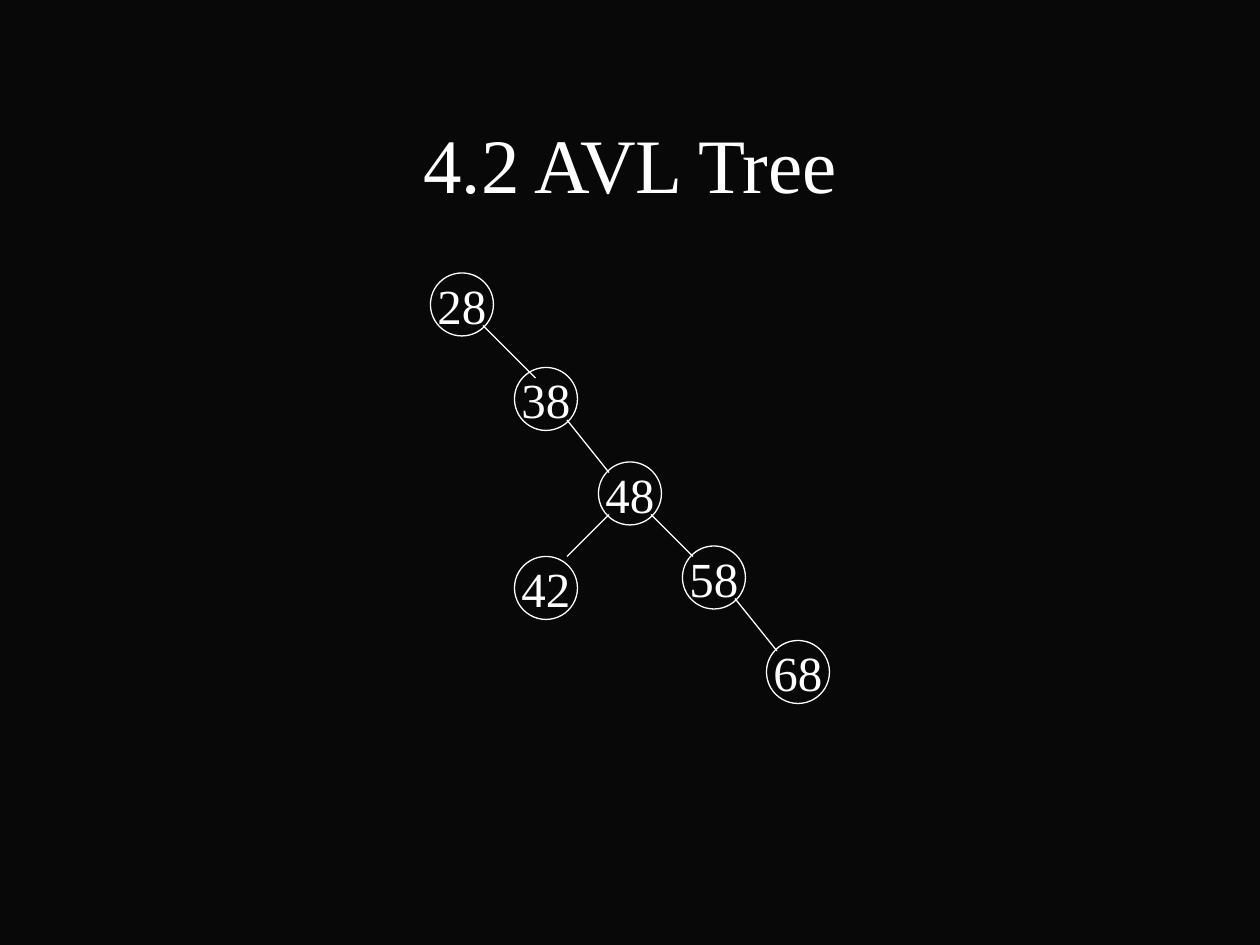
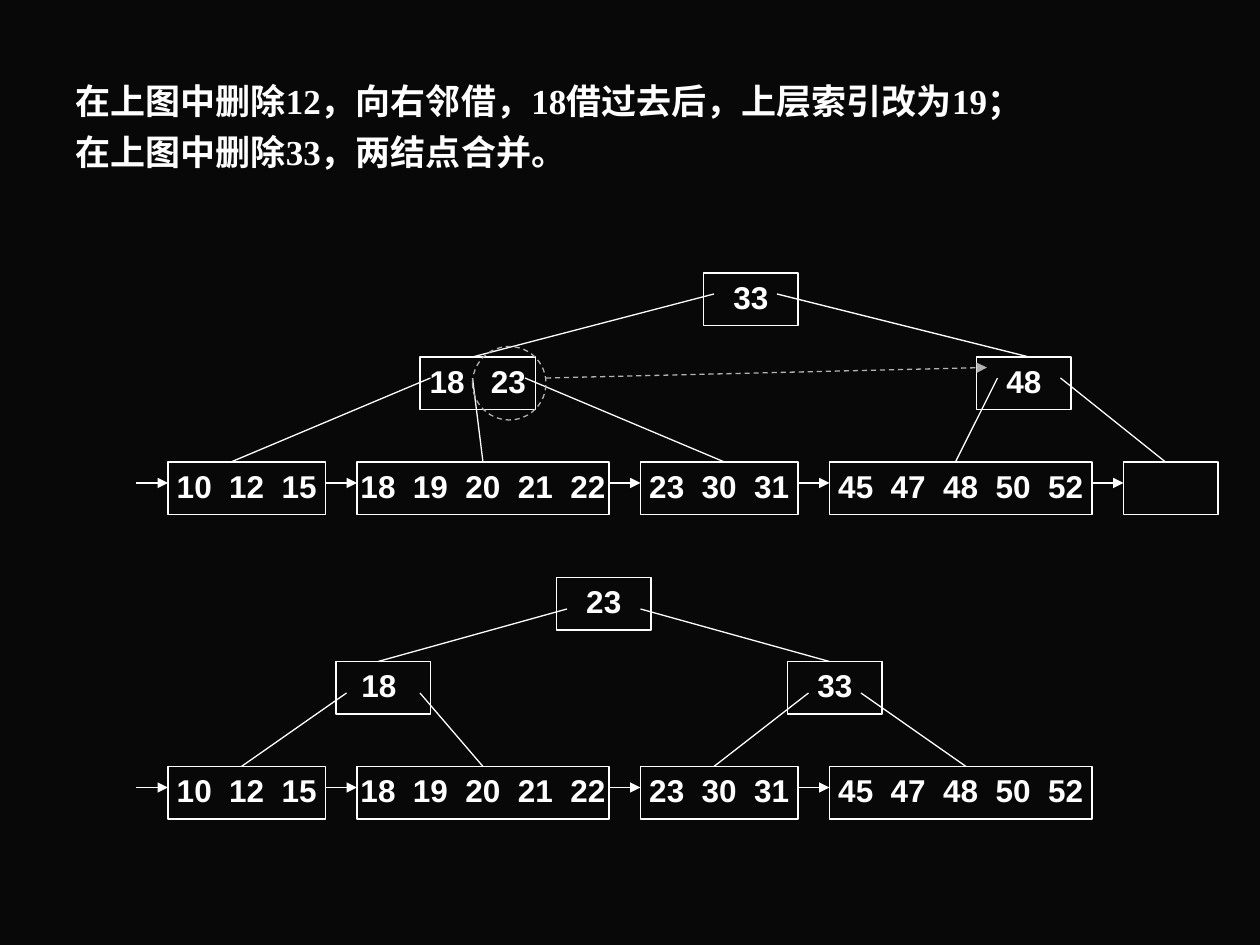
import collections

import pptx
import pptx.dml.color
import pptx.enum.dml
import pptx.enum.shapes
import pptx.enum.text
import pptx.oxml.ns
import pptx.util
from lxml import etree

Cm, Pt = pptx.util.Cm, pptx.util.Pt
SHAPE = pptx.enum.shapes.MSO_SHAPE
ANCHOR = pptx.enum.text.MSO_ANCHOR
ALIGN = pptx.enum.text.PP_ALIGN
DASH = pptx.enum.dml.MSO_LINE.DASH
BLACK = pptx.dml.color.RGBColor(0x08, 0x08, 0x08)
WHITE = pptx.dml.color.RGBColor(0xFF, 0xFF, 0xFF)
GREY = pptx.dml.color.RGBColor(0xB2, 0xB2, 0xB2)
SERIF, SANS = "Times New Roman", "Arial"
NODE_SIZE = 6
BOX_HEIGHT = 5
LEAF_GAP = 3
LEVEL_TOPS = (0, 8, 18)

Inner = collections.namedtuple("Inner", "keys left width level branches key_gap", defaults=(5,))
Leaf = collections.namedtuple("Leaf", "keys width")
Branch = collections.namedtuple("Branch", "start child shift")

AVL_NODES = {"28": (0, 0), "38": (8, 9), "48": (16, 18),
             "42": (8, 27), "58": (24, 26), "68": (32, 35)}
AVL_EDGES = [("28", "38", (5, 5), (2, 1)), ("38", "48", (5, 5), (1, 1)),
             ("48", "58", (5, 5), (1, 1)), ("58", "68", (5, 5), (1, 1)),
             ("48", "42", (1, 5), (5, 0))]

LEAVES = [Leaf("10 12 15", 15), Leaf("18 19 20 21 22", 24),
          Leaf("23 30 31", 15), Leaf("45 47 48 50 52", 25)]
BORROWING_TREE = [
    Inner("33", 54, 9, 0, [Branch(1, "18 23", -0.5), Branch(7, "48", 0.5)]),
    Inner("18 23", 27, 11, 1, [Branch(1, "10 12 15", -1.5), Branch(5, "18 19 20 21 22", 0),
                               Branch(10, "23 30 31", 0.5)], 10),
    Inner("48", 80, 9, 1, [Branch(2, "45 47 48 50 52", -0.5), Branch(8, "", -0.5)])]
MERGED_TREE = [
    Inner("23", 40, 9, 0, [Branch(1, "18 ", -0.5), Branch(8, "33", -0.5)]),
    Inner("18 ", 19, 9, 1, [Branch(1, "10 12 15", -0.5), Branch(8, "18 19 20 21 22", 0)], 0),
    Inner("33", 62, 9, 1, [Branch(2, "23 30 31", -0.5), Branch(7, "45 47 48 50 52", 0.5)])]


def grid(steps):
    """Return the length of a number of grid steps, twelve to the inch."""
    return Cm(2.54 * steps / 12)


def add_run(paragraph, text, font_name, size, bold=False):
    """Add one white run to a paragraph."""
    run = paragraph.add_run()
    run.text = text
    run.font.name, run.font.size, run.font.bold = font_name, Pt(size), bold
    run.font.color.rgb = WHITE
    return run


def add_outline(slide, kind, left, top, width, height, color=WHITE):
    """Add an unfilled shape with a thin outline."""
    outline = slide.shapes.add_shape(kind, grid(left), grid(top), grid(width), grid(height))
    outline.shadow.inherit = False
    outline.fill.background()
    outline.line.color.rgb = color
    outline.line.width = Pt(0.75)
    outline.text_frame.word_wrap = False
    outline.text_frame.vertical_anchor = ANCHOR.MIDDLE
    outline.text_frame.paragraphs[0].alignment = ALIGN.CENTER
    return outline


def add_line(slide, start, end, color=WHITE, arrow=False):
    """Add a thin straight line, with an arrowhead at its end if asked."""
    line = slide.shapes.add_connector(pptx.enum.shapes.MSO_CONNECTOR.STRAIGHT,
                                      *map(grid, (*start, *end)))
    line.line.color.rgb = color
    line.line.width = Pt(0.75)
    if arrow:
        etree.SubElement(line.line._get_or_add_ln(), pptx.oxml.ns.qn("a:tailEnd"), type="triangle")
    etree.SubElement(line._element.spPr, pptx.oxml.ns.qn("a:effectLst"))
    return line


def add_slide(deck):
    """Add a blank slide with the dark background."""
    slide = deck.slides.add_slide(deck.slide_layouts[6])
    slide.background.fill.solid()
    slide.background.fill.fore_color.rgb = BLACK
    return slide


def add_text_box(slide, left, top, width, height):
    """Add a wrapping text box and return its text frame."""
    frame = slide.shapes.add_textbox(*map(grid, (left, top, width, height))).text_frame
    frame.word_wrap = True
    return frame


def add_title(slide, text, left, top, width, height):
    """Add a centred slide title."""
    frame = add_text_box(slide, left, top, width, height)
    frame.vertical_anchor = ANCHOR.MIDDLE
    frame.paragraphs[0].alignment = ALIGN.CENTER
    add_run(frame.paragraphs[0], text, SERIF, 44)


def add_statements(slide, statements, left, top, width, height):
    """Add bold statements with hanging indents, one a paragraph."""
    frame = add_text_box(slide, left, top, width, height)
    for index, statement in enumerate(statements):
        paragraph = frame.add_paragraph() if index else frame.paragraphs[0]
        paragraph._p.get_or_add_pPr().set("marL", str(Cm(0.95)))
        paragraph._p.get_or_add_pPr().set("indent", str(-Cm(0.95)))
        if index:
            paragraph.space_before = Pt(5)
        add_run(paragraph, statement, SERIF, 20, True)


def add_avl_tree(slide, left, top):
    """Draw the round nodes of the AVL tree and its edges."""
    for key, (x, y) in AVL_NODES.items():
        node = add_outline(slide, SHAPE.OVAL, left + x, top + y, NODE_SIZE, NODE_SIZE)
        add_run(node.text_frame.paragraphs[0], key, SERIF, 28)
    for parent, child, leaving, arriving in AVL_EDGES:
        start, end = ([left + AVL_NODES[key][0] + dx, top + AVL_NODES[key][1] + dy]
                      for key, (dx, dy) in ((parent, leaving), (child, arriving)))
        add_line(slide, start, end)


def add_key_box(slide, keys, left, top, width, key_gap=5):
    """Draw one tree box, its keys set apart by widened spaces."""
    box = add_outline(slide, SHAPE.FLOWCHART_PROCESS, left, top, width, BOX_HEIGHT)
    paragraph = box.text_frame.paragraphs[0]
    paragraph.line_spacing = 0.9
    for index, key in enumerate(keys.split(" ")):
        if index:
            space = add_run(paragraph, " ", SANS, 18, True)
            space.font._element.set("spc", str(key_gap * 100))
        if key:
            add_run(paragraph, key, SANS, 18, True)
    return box


def add_b_plus_tree(slide, inner_nodes, leaves, left, top, branch_drop):
    """Draw inner nodes, the chain of leaves and the branches between them."""
    boxes, centres, levels = {}, {}, {}
    for node in inner_nodes:
        boxes[node.keys] = add_key_box(slide, node.keys, left + node.left,
                                       top + LEVEL_TOPS[node.level], node.width, node.key_gap)
        centres[node.keys] = left + node.left + node.width / 2
        levels[node.keys] = node.level
    x, leaf_top = left, top + LEVEL_TOPS[2]
    for leaf in leaves:
        add_line(slide, (x, leaf_top + 2), (x + LEAF_GAP, leaf_top + 2), arrow=True)
        x += LEAF_GAP
        boxes[leaf.keys] = add_key_box(slide, leaf.keys, x, leaf_top, leaf.width)
        centres[leaf.keys] = x + leaf.width / 2
        levels[leaf.keys] = 2
        x += leaf.width
    for node in inner_nodes:
        for branch in node.branches:
            start = left + node.left + branch.start, top + LEVEL_TOPS[node.level] + branch_drop
            end = centres[branch.child] + branch.shift, top + LEVEL_TOPS[levels[branch.child]]
            line = add_line(slide, start, end)
            if branch.shift == 0:
                line.end_connect(boxes[branch.child], 0)


def add_moved_key(slide, left, top):
    """Mark the moved key with a dashed ring and an arrow to its new node."""
    ring = add_outline(slide, SHAPE.OVAL, left, top, 7, 7, GREY)
    arrow = add_line(slide, (left + 7, top + 3), (left + 49, top + 2), GREY, arrow=True)
    for part in (ring, arrow):
        part.line.dash_style = DASH.DASH


def build_avl_slide(deck):
    """Build the slide with the AVL tree."""
    slide = add_slide(deck)
    add_title(slide, "4.2 AVL Tree", 9, 8, 102, 15)
    add_avl_tree(slide, 41, 26)


def build_deletion_slide(deck):
    """Build the slide on deleting keys from a B+ tree."""
    slide = add_slide(deck)
    add_statements(slide, ["在上图中删除12，向右邻借，18借过去后，上层索引改为19；",
                           "在上图中删除33，两结点合并。"], 6, 7, 114, 77)
    add_b_plus_tree(slide, MERGED_TREE, LEAVES, 13, 55, 3)
    add_b_plus_tree(slide, BORROWING_TREE, LEAVES + [Leaf("", 9)], 13, 26, 2)
    add_moved_key(slide, 45, 33)


def main():
    """Build and save the deck."""
    deck = pptx.Presentation()
    deck.slide_width, deck.slide_height = Cm(25.4), Cm(19.05)
    build_avl_slide(deck)
    build_deletion_slide(deck)
    deck.save("out.pptx")


if __name__ == "__main__":
    main()
